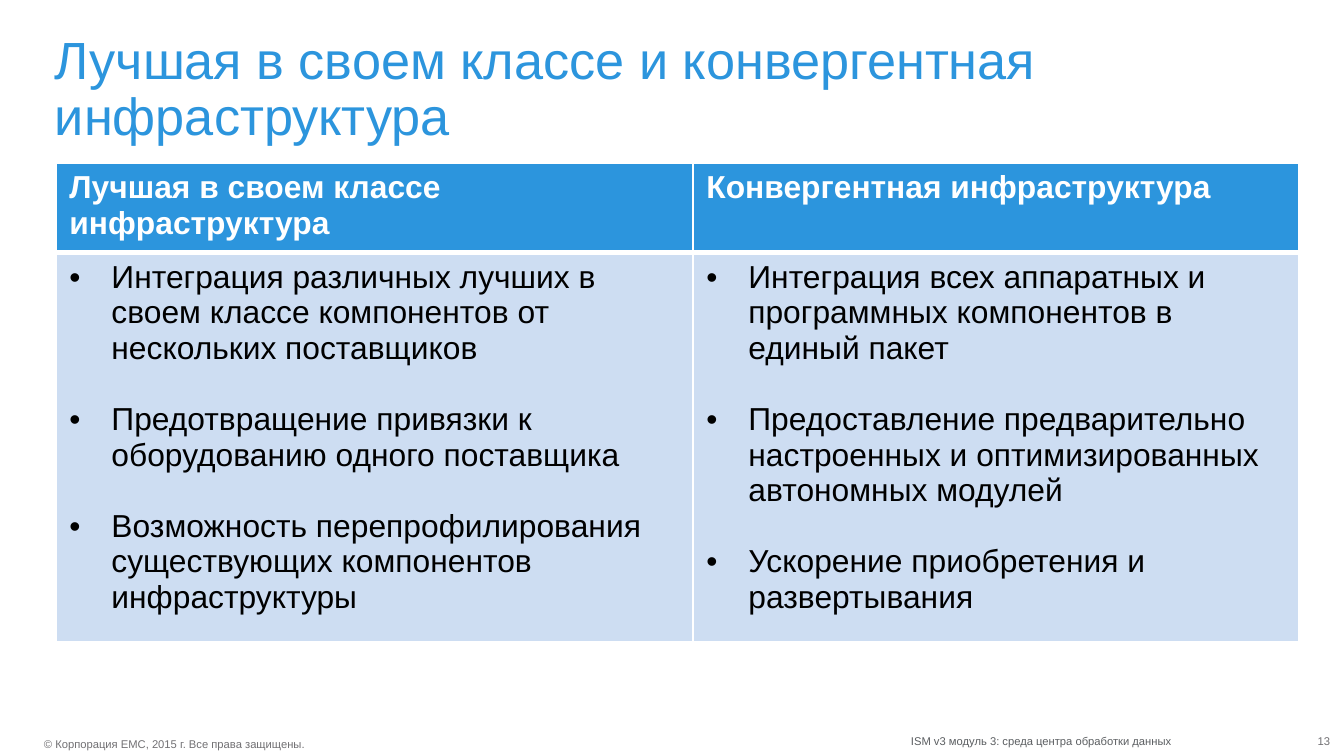
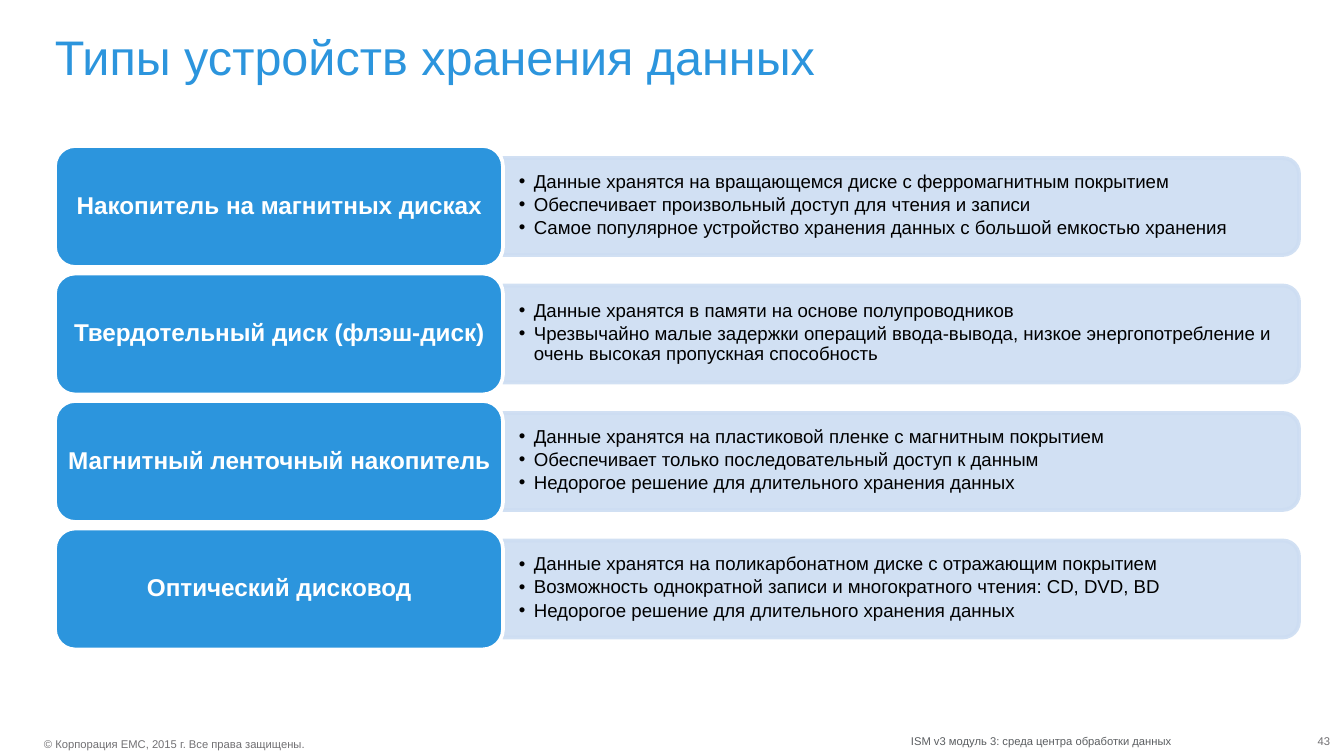
from lxml.etree import SubElement
from pptx import Presentation
from pptx.dml.color import RGBColor
from pptx.enum.shapes import MSO_SHAPE
from pptx.enum.text import MSO_ANCHOR, PP_ALIGN
from pptx.oxml.ns import qn
from pptx.util import Pt

SCALE = 914400 / 134.4
FONT = "Arial"
BLUE, PALE, WHITE, BLACK = "2C95DD", "CDDDF2", "FFFFFF", "000000"
GREY, DARK = "717073", "5B5E61"
LEFT, WIDTH = 55, 1243

CLASSES = [
    ("Лучшая в своем классе инфраструктура", 637, [
        "Интеграция различных лучших в своем классе компонентов от нескольких поставщиков",
        "Предотвращение привязки к оборудованию одного поставщика",
        "Возможность перепрофилирования существующих компонентов инфраструктуры"]),
    ("Конвергентная инфраструктура", 606, [
        "Интеграция всех аппаратных и программных компонентов в единый пакет",
        "Предоставление предварительно настроенных и оптимизированных автономных модулей",
        "Ускорение приобретения и развертывания"]),
]

DEVICES = [
    ("Накопитель на магнитных дисках", [
        "Данные хранятся на вращающемся диске с ферромагнитным покрытием",
        "Обеспечивает произвольный доступ для чтения и записи",
        "Самое популярное устройство хранения данных с большой емкостью хранения"]),
    ("Твердотельный диск (флэш-диск)", [
        "Данные хранятся в памяти на основе полупроводников",
        "Чрезвычайно малые задержки операций ввода-вывода, низкое энергопотребление "
        "и очень высокая пропускная способность"]),
    ("Магнитный ленточный накопитель", [
        "Данные хранятся на пластиковой пленке с магнитным покрытием",
        "Обеспечивает только последовательный доступ к данным",
        "Недорогое решение для длительного хранения данных"]),
    ("Оптический дисковод", [
        "Данные хранятся на поликарбонатном диске с отражающим покрытием",
        "Возможность однократной записи и многократного чтения: CD, DVD, BD",
        "Недорогое решение для длительного хранения данных"]),
]


def px(*sizes):
    return [round(size * SCALE) for size in sizes]


def paint(color, code):
    """Sets a fill or font colour from a hex string."""
    if hasattr(color, "solid"):
        color.solid()
        color = color.fore_color
    else:
        color = color.color
    color.rgb = RGBColor.from_string(code)


def write(frame, lines, size, code, bold=False, align=PP_ALIGN.LEFT,
          spacing=None, gap=0, indent=0):
    """Fills a frame with one paragraph a line; an indent adds bullets."""
    for i, line in enumerate(lines):
        para = frame.add_paragraph() if i else frame.paragraphs[0]
        para.alignment = align
        if spacing:
            para.line_spacing = spacing
        if i and gap:
            para.space_before = Pt(gap)
        if indent:
            props = para._p.get_or_add_pPr()
            step = px(indent)[0]
            props.set("marL", str(step))
            props.set("indent", str(-step))
            SubElement(props, qn("a:buFont"), typeface=FONT)
            SubElement(props, qn("a:buChar"), char="•")
        run = para.add_run()
        run.text = line
        run.font.name, run.font.size, run.font.bold = FONT, Pt(size), bold
        paint(run.font, code)


def pad(frame, side=0, edge=0, anchor=MSO_ANCHOR.TOP, wrap=True):
    frame.margin_left = frame.margin_right = px(side)[0]
    frame.margin_top = frame.margin_bottom = px(edge)[0]
    frame.vertical_anchor = anchor
    frame.word_wrap = wrap
    return frame


def label(slide, box, text, size, code, wrap=True, **style):
    frame = pad(slide.shapes.add_textbox(*px(*box)).text_frame, wrap=wrap)
    write(frame, [text], size, code, **style)


def start(deck, title, size, page):
    """Adds a slide with its title and footers."""
    slide = deck.slides.add_slide(deck.slide_layouts[6])
    label(slide, (44, 737, 265, 14), "© Корпорация EMC, 2015\u00a0г. Все права защищены.",
          6, GREY, wrap=False)
    label(slide, (911, 734, 265, 14), "ISM v3 модуль 3: среда центра обработки данных",
          6, DARK, wrap=False)
    label(slide, (LEFT, 34, WIDTH, 67), title, size, BLUE, spacing=0.9)
    label(slide, (1288, 734, 42, 14), str(page), 6, GREY, align=PP_ALIGN.RIGHT)
    return slide


def edge(cell, **widths):
    """Draws white cell borders; widths in points by side L, R, T, B."""
    props = cell._tc.get_or_add_tcPr()
    for side, width in widths.items():
        line = SubElement(props, qn("a:ln" + side), w=str(Pt(width)))
        fill = SubElement(line, qn("a:solidFill"))
        SubElement(fill, qn("a:srgbClr"), val=WHITE)


def compare(slide, x, y, heights):
    frame = slide.shapes.add_table(2, len(CLASSES), *px(x, y, WIDTH, sum(heights)))
    table = frame.table
    table.horz_banding = False
    for row, height in zip(table.rows, heights):
        row.height = px(height)[0]
    for i, (name, width, points) in enumerate(CLASSES):
        table.columns[i].width = px(width)[0]
        head, body = table.cell(0, i), table.cell(1, i)
        edge(head, L=1, R=1, T=1, B=3)
        edge(body, L=1, R=1, T=3, B=1)
        paint(head.fill, BLUE)
        paint(body.fill, PALE)
        write(head.text_frame, [name], 17, WHITE, bold=True)
        write(body.text_frame, points, 17, BLACK, gap=19, indent=42)


def block(slide, kind, box, code, rim):
    shape = slide.shapes.add_shape(kind, *px(*box))
    shape.shadow.inherit = False
    paint(shape.fill, code)
    paint(shape.line.fill, rim)
    shape.line.width = Pt(2)
    return shape


def device(slide, x, y, name, points):
    """Draws one row: a name tile and a panel of points beside it."""
    tile, high, long, thick = 448, 121, 796, 97
    side = x + tile
    panel = block(slide, MSO_SHAPE.ROUND_2_SAME_RECTANGLE,
                  (side + (long - thick) / 2, y + (high - long) / 2, thick, long),
                  PALE, PALE)
    panel.rotation = 90
    for color in panel._element.spPr.iter(qn("a:srgbClr")):
        SubElement(color, qn("a:alpha"), val="90000")
    notes = slide.shapes.add_textbox(*px(side, y + 16, 790, 87))
    write(pad(notes.text_frame, 16, 8, MSO_ANCHOR.MIDDLE), points, 10, BLACK,
          spacing=0.9, gap=1.6, indent=15)
    card = block(slide, MSO_SHAPE.ROUNDED_RECTANGLE, (x, y, tile, high), BLUE, WHITE)
    write(pad(card.text_frame, 7, 4, MSO_ANCHOR.MIDDLE), [name], 13, WHITE,
          bold=True, align=PP_ALIGN.CENTER, spacing=0.9)


def main():
    deck = Presentation()
    deck.slide_width, deck.slide_height = px(1344, 756)
    slide = start(deck, "Лучшая в своем классе и конвергентная инфраструктура", 28, 13)
    compare(slide, LEFT + 1, 163, (84, 369))
    slide = start(deck, "Типы устройств хранения данных", 26, 43)
    for i, (name, points) in enumerate(DEVICES):
        device(slide, LEFT, 146 + 127.5 * i, name, points)
    deck.save("out.pptx")


if __name__ == "__main__":
    main()
